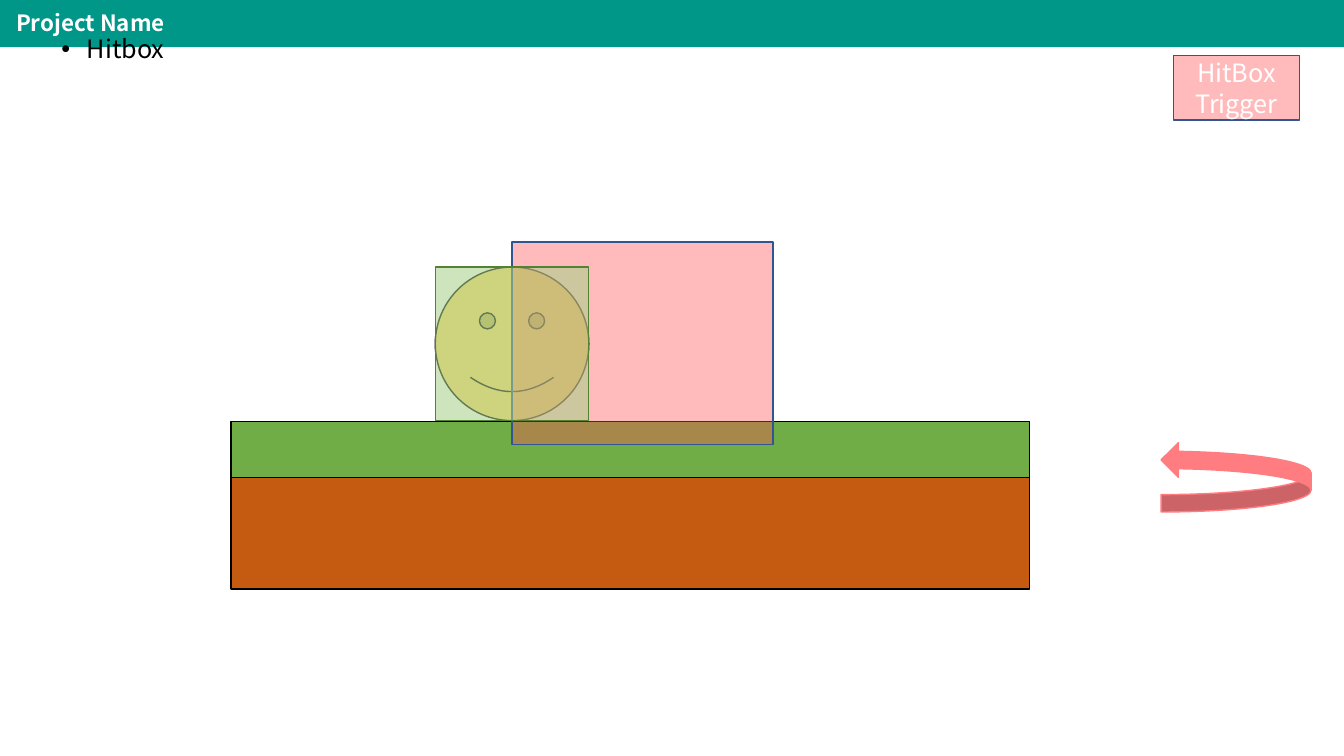
from lxml import etree
from pptx import Presentation
from pptx import util as u
from pptx.dml.color import RGBColor
from pptx.enum import shapes, text
from pptx.oxml.ns import qn

FONT = "Noto Sans CJK KR"
SHAPE = shapes.MSO_SHAPE
TRIGGER, TRIGGER_EDGE = "FF5050", "325491"


def color(hex_value):
    return RGBColor.from_string(hex_value)


def write(paragraph, words, size, hex_value, bold=False):
    run = paragraph.add_run()
    run.text = words
    run.font.name = FONT
    run.font.size = u.Pt(size)
    run.font.bold = bold
    run.font.color.rgb = color(hex_value)


def draw(parent, kind, box, fill, edge=None, opacity=None):
    part = parent.add_shape(kind, *[u.Cm(length) for length in box])
    part.shadow.inherit = False
    part.fill.solid()
    part.fill.fore_color.rgb = color(fill)
    if opacity is not None:
        tint = part.fill._xPr.find(".//" + qn("a:srgbClr"))
        etree.SubElement(tint, qn("a:alpha"), val=str(opacity * 1000))
    if edge:
        part.line.color.rgb = color(edge)
        part.line.width = u.Pt(1)
    else:
        part.line.fill.background()
    return part


def add_header(slide, left, top, width, height):
    draw(slide.shapes, SHAPE.RECTANGLE, (left, top, width, height), "009688")
    title = slide.shapes.title
    title.left, title.top = u.Cm(left + 0.15), u.Cm(top + 0.13)
    title.width, title.height = u.Cm(29.18), u.Cm(height - 0.23)
    slide.shapes._spTree.append(title._element)
    frame = title.text_frame
    frame.word_wrap = True
    frame.auto_size = text.MSO_AUTO_SIZE.NONE
    frame.vertical_anchor = text.MSO_ANCHOR.MIDDLE
    heading = frame.paragraphs[0]
    heading.alignment = text.PP_ALIGN.LEFT
    heading.line_spacing = 0.9
    write(heading, "Project Name", 16, "FFFFFF", bold=True)


def add_ground(slide, left, top, width, height):
    ground = slide.shapes.add_group_shape().shapes
    grass = height / 3
    for offset, depth, fill in ((0, grass, "70AD47"), (grass, height - grass, "C55A11")):
        draw(ground, SHAPE.RECTANGLE, (left, top + offset, width, depth), fill, "000000")


def add_swing(slide, left, top, width, height):
    swing = draw(slide.shapes, SHAPE.CURVED_RIGHT_ARROW,
                 (left, top, width, height), "FF7C80", "FF7C80")
    swing.rotation = 180


def add_trigger(slide, left, top, width, height, words=()):
    trigger = draw(slide.shapes, SHAPE.RECTANGLE, (left, top, width, height),
                   TRIGGER, TRIGGER_EDGE, 39)
    frame = trigger.text_frame
    frame.vertical_anchor = text.MSO_ANCHOR.MIDDLE
    for index, word in enumerate(words):
        line = frame.add_paragraph() if index else frame.paragraphs[0]
        line.alignment = text.PP_ALIGN.CENTER
        write(line, word, 18, "FFFFFF")


def add_topic(slide, left, top, width, height):
    topic = slide.shapes.add_textbox(u.Cm(left), u.Cm(top), u.Cm(width), u.Cm(height))
    topic.text_frame.word_wrap = True
    item = topic.text_frame.paragraphs[0]
    item.line_spacing = 0.9
    props = item._p.get_or_add_pPr()
    props.set("marL", str(u.Cm(0.64)))
    props.set("indent", str(-u.Cm(0.64)))
    etree.SubElement(props, qn("a:buFont"), typeface="Arial")
    etree.SubElement(props, qn("a:buChar"), char="•")
    write(item, "Hitbox", 18, "000000")


def build_hitbox_slide(deck):
    slide = deck.slides.add_slide(deck.slide_layouts[5])
    ground_left, ground_top = 5.82, 10.62
    face_size = 3.87
    face = (ground_left + 5.15, ground_top - face_size - 0.02, face_size, face_size)
    add_header(slide, 0, 0, 33.87, 1.19)
    add_ground(slide, ground_left, ground_top, 20.12, 4.22)
    draw(slide.shapes, SHAPE.SMILEY_FACE, face, "FFD966", "000000")
    add_swing(slide, 29.26, 11.15, 3.78, 1.75)
    add_trigger(slide, face[0] + face_size / 2, 6.1, 6.58, 5.11)
    add_trigger(slide, 29.57, 1.4, 3.18, 1.63, ("HitBox", "Trigger"))
    add_topic(slide, 1.3, 0.8, 3.18, 1.07)
    draw(slide.shapes, SHAPE.RECTANGLE, face, "A9D18E", "548235", 58)


def main():
    deck = Presentation()
    deck.slide_width, deck.slide_height = u.Cm(33.87), u.Cm(19.05)
    build_hitbox_slide(deck)
    deck.save("out.pptx")


if __name__ == "__main__":
    main()
